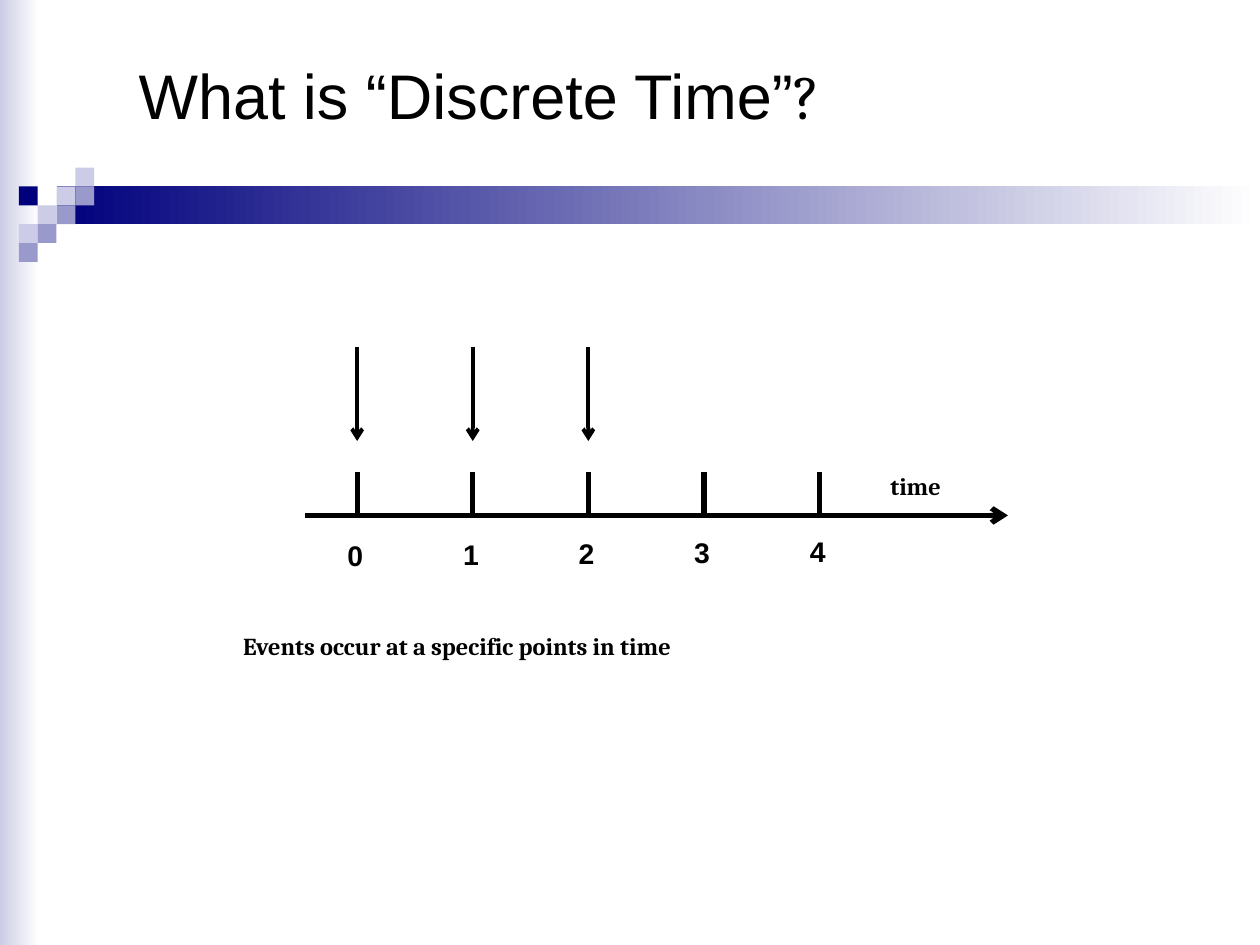
from pptx import Presentation
from pptx import util as u
from pptx.dml.color import RGBColor
from pptx.enum import shapes, text
from pptx.oxml.ns import qn
from lxml import etree

# Content
TITLE = ("What is “Discrete Time”", "?")
TICKS = ["0", "1", "2", "3", "4"]
EVENT_COUNT = 3
AXIS_NAME = "time"
CAPTION = "Events occur at a specific points in time"

THEME = {
    "ink": "000000", "navy": "00007D", "mid": "9999CC", "pale": "CCCCE6", "white": "FFFFFF",
    "sans": "Arial", "serif": "Cambria",
    "title": 36, "label": 28, "note": 24, "axis": 3, "event": 2.25,
}

# Ornament squares: column, row, colour
SQUARES = [
    (2, 1, "pale"), (3, 0, "pale"), (3, 1, "mid"), (1, 2, "pale"), (0, 1, "navy"),
    (2, 2, "mid"), (0, 3, "pale"), (1, 3, "mid"), (0, 4, "mid"),
]
SQUARE, SQUARES_LEFT, SQUARES_TOP = 0.38, 0.38, 3.38

# Timeline geometry in centimetres
AXIS_LEFT, AXIS_RIGHT, AXIS_Y = 6.15, 20.32, 10.39
TICK_LEFT, TICK_STEP, TICK_TOP = 7.2, 2.33, 9.52
EVENT_TOP, EVENT_BOTTOM = 6.99, 8.89
LABEL_TOP, LABEL_RISE, LABEL_WIDTH = 10.6, 0.02, 0.89


def colour(name):
    return RGBColor.from_string(THEME[name])


def add_block(page, left, top, width, height, start, end=None):
    block = page.shapes.add_shape(shapes.MSO_SHAPE.RECTANGLE,
                                  *map(u.Cm, (left, top, width, height)))
    block.shadow.inherit = False
    block.line.fill.background()
    if end is None:
        block.fill.solid()
        block.fill.fore_color.rgb = colour(start)
    else:
        block.fill.gradient()
        block.fill.gradient_angle = 0
        for stop, name in zip(block.fill.gradient_stops, (start, end)):
            stop.color.rgb = colour(name)


def add_line(page, x1, y1, x2, y2, weight, arrow=False):
    line = page.shapes.add_connector(shapes.MSO_CONNECTOR.STRAIGHT,
                                     *map(u.Cm, (x1, y1, x2, y2)))
    line.line.color.rgb = colour("ink")
    line.line.width = u.Pt(THEME[weight])
    if arrow:
        etree.SubElement(line.line._get_or_add_ln(), qn("a:tailEnd"), type="arrow")
    etree.SubElement(line._element.spPr, qn("a:effectLst"))


def add_raised_text(page, words, left, top, width, height, family, size):
    box = page.shapes.add_textbox(*map(u.Cm, (left, top, width, height)))
    box.text_frame.word_wrap = True
    para = box.text_frame.paragraphs[0]
    span = para.add_run()
    span.text = words
    font = span.font
    font.name, font.size, font.bold = THEME[family], u.Pt(THEME[size]), True
    font.color.rgb = colour("ink")
    font._element.set("baseline", "30000")


def add_title(page):
    box = page.shapes.title
    box.left, box.top, box.width, box.height = map(u.Cm, (2.54, 0, 22.86, 3.81))
    frame = box.text_frame
    frame.auto_size = text.MSO_AUTO_SIZE.NONE
    frame.vertical_anchor = text.MSO_ANCHOR.MIDDLE
    para = frame.paragraphs[0]
    para.alignment = text.PP_ALIGN.LEFT
    para.font.size = u.Pt(THEME["title"])
    para.font.color.rgb = colour("ink")
    for words, family in zip(TITLE, ("sans", "serif")):
        span = para.add_run()
        span.text = words
        span.font.name = THEME[family]


def add_ornament(page):
    add_block(page, 0, 0, 0.79, 19.05, "pale", "white")
    add_block(page, 1.14, 3.76, 24.26, 0.76, "navy", "white")
    for column, row, name in SQUARES:
        add_block(page, SQUARES_LEFT + column * SQUARE, SQUARES_TOP + row * SQUARE,
                  SQUARE, SQUARE, name)


def add_timeline(page):
    add_line(page, AXIS_LEFT, AXIS_Y, AXIS_RIGHT, AXIS_Y, "axis", arrow=True)
    for index, label in enumerate(TICKS):
        x = TICK_LEFT + index * TICK_STEP
        add_line(page, x, TICK_TOP, x, AXIS_Y, "axis")
        add_raised_text(page, label, x - LABEL_WIDTH / 2, LABEL_TOP - index * LABEL_RISE,
                        LABEL_WIDTH, 1.04, "sans", "label")
        if index < EVENT_COUNT:
            add_line(page, x, EVENT_TOP, x, EVENT_BOTTOM, "event", arrow=True)
    add_raised_text(page, AXIS_NAME, 17.7, 9.27, 2.31, 1.3, "serif", "note")


def main():
    deck = Presentation()
    deck.slide_width, deck.slide_height = u.Cm(25.4), u.Cm(19.05)
    page = deck.slides.add_slide(deck.slide_layouts[5])
    add_ornament(page)
    add_title(page)
    add_timeline(page)
    add_raised_text(page, CAPTION, 4.65, 12.5, 15.85, 1.3, "serif", "note")
    deck.save("out.pptx")


if __name__ == "__main__":
    main()
